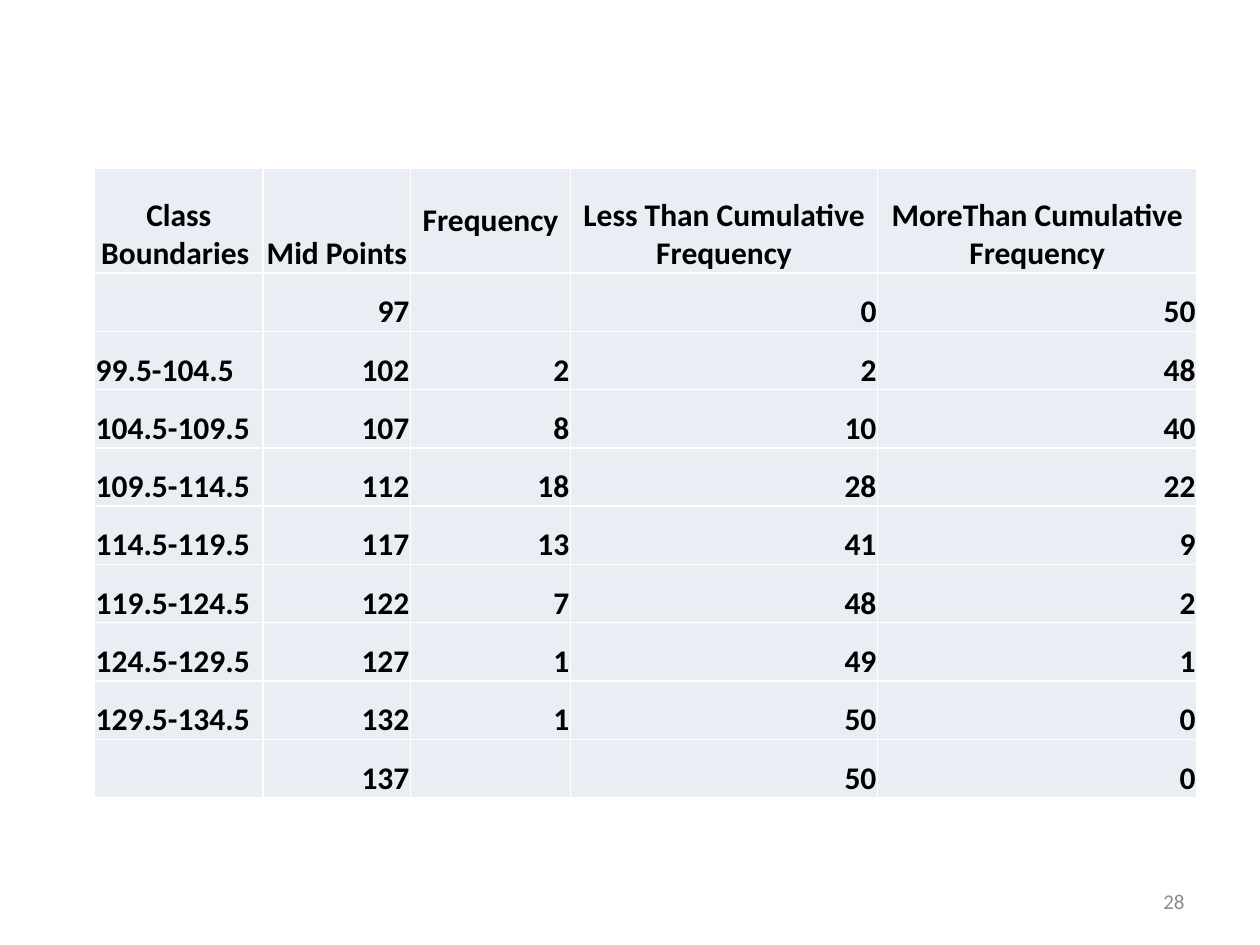
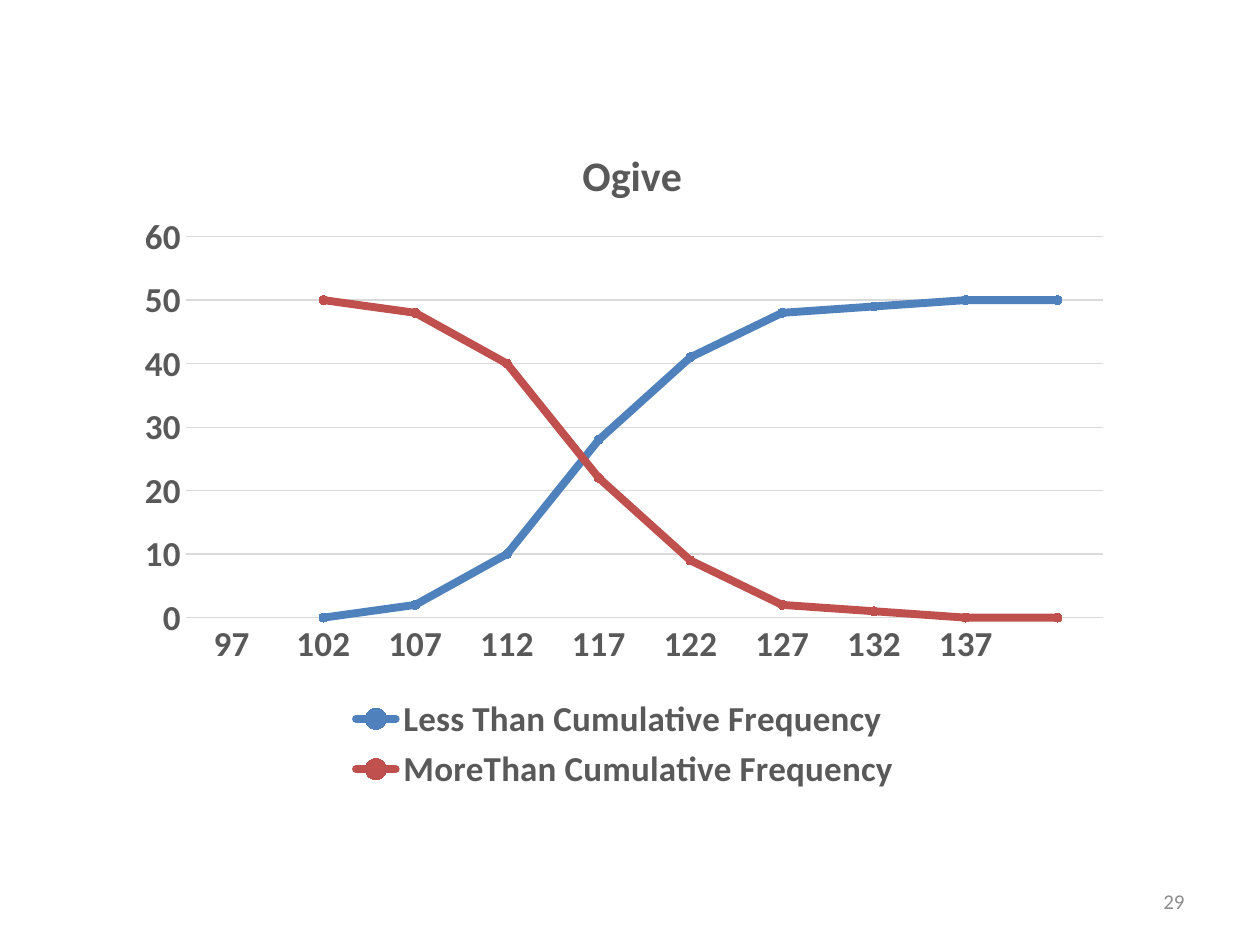
from lxml.etree import SubElement
from pptx import Presentation
from pptx.chart.data import CategoryChartData
from pptx.dml.color import RGBColor
from pptx.enum.chart import XL_CHART_TYPE, XL_LEGEND_POSITION, XL_MARKER_STYLE, XL_TICK_MARK
from pptx.enum.text import MSO_ANCHOR, PP_ALIGN
from pptx.oxml import parse_xml
from pptx.oxml.ns import nsdecls, qn
from pptx.util import Pt

BLACK = RGBColor(0, 0, 0)
WHITE = RGBColor(0xFF, 0xFF, 0xFF)
CELL_TINT = RGBColor(0xE9, 0xED, 0xF4)
CHART_GREY = RGBColor(0x59, 0x59, 0x59)
GRID_GREY = RGBColor(0xD9, 0xD9, 0xD9)
NUMBER_GREY = RGBColor(0x8C, 0x8C, 0x8C)
BLUE = RGBColor(0x4F, 0x81, 0xBD)
RED = RGBColor(0xC0, 0x50, 0x4D)
FONT = "Calibri"

NUMBER_BOX = (516, 500.5, 168, 28.75)
TABLE_BOX = (54, 96, 630, 360)
CHART_BOX = (72, 60, 570, 396)

LESS_THAN = "Less Than Cumulative Frequency"
MORE_THAN = "MoreThan Cumulative Frequency"
HEADINGS = ("Class Boundaries ", "Mid Points", "Frequency", LESS_THAN, MORE_THAN)
COLUMN_WIDTHS = (96.4, 84.3, 91.4, 175.5, 182.4)
HEADING_HEIGHT = 60
FREQUENCIES = (
    ("", 97, "", 0, 50),
    ("99.5-104.5", 102, 2, 2, 48),
    ("104.5-109.5", 107, 8, 10, 40),
    ("109.5-114.5", 112, 18, 28, 22),
    ("114.5-119.5", 117, 13, 41, 9),
    ("119.5-124.5", 122, 7, 48, 2),
    ("124.5-129.5", 127, 1, 49, 1),
    ("129.5-134.5", 132, 1, 50, 0),
    ("", 137, "", 50, 0),
)


def style_font(font, size, colour, bold=True):
    """Give a font the shared typeface with a size, colour and weight."""
    font.name, font.size, font.bold = FONT, Pt(size), bold
    font.color.rgb = colour


def add_slide_number(slide, box, number):
    """Place the slide number at the right of its box."""
    frame = slide.shapes.add_textbox(*map(Pt, box)).text_frame
    frame.word_wrap = True
    frame.vertical_anchor = MSO_ANCHOR.MIDDLE
    paragraph = frame.paragraphs[0]
    paragraph.alignment = PP_ALIGN.RIGHT
    run = paragraph.add_run()
    run.text = str(number)
    style_font(run.font, 12, NUMBER_GREY, bold=False)


def add_borders(cell):
    """Draw a thin white line on each side of a cell."""
    properties = cell._tc.get_or_add_tcPr()
    for side in ("lnL", "lnR", "lnT", "lnB"):
        border = SubElement(properties, qn(f"a:{side}"), w=str(Pt(1)))
        fill = SubElement(border, qn("a:solidFill"))
        SubElement(fill, qn("a:srgbClr"), val=str(WHITE))


def fill_cell(cell, value, alignment, anchor):
    """Style one table cell and write its value."""
    cell.margin_left = cell.margin_right = cell.margin_top = Pt(0.72)
    cell.margin_bottom = Pt(0)
    cell.vertical_anchor = anchor
    add_borders(cell)
    cell.fill.solid()
    cell.fill.fore_color.rgb = CELL_TINT
    if value != "":
        paragraph = cell.text_frame.paragraphs[0]
        paragraph.alignment = alignment
        run = paragraph.add_run()
        run.text = str(value)
        style_font(run.font, 18, BLACK)


def add_frequency_table(slide, box):
    """Build the cumulative frequency table in its box."""
    rows = (HEADINGS, *FREQUENCIES)
    table = slide.shapes.add_table(len(rows), len(HEADINGS), *map(Pt, box)).table
    table.horz_banding = False
    for column, width in zip(table.columns, COLUMN_WIDTHS):
        column.width = Pt(width)
    body_height = (box[3] - HEADING_HEIGHT) / len(FREQUENCIES)
    for r, values in enumerate(rows):
        table.rows[r].height = Pt(body_height if r else HEADING_HEIGHT)
        for c, value in enumerate(values):
            alignment = PP_ALIGN.CENTER if r == 0 else PP_ALIGN.RIGHT if c else PP_ALIGN.LEFT
            anchor = MSO_ANCHOR.MIDDLE if value == "Frequency" else MSO_ANCHOR.BOTTOM
            fill_cell(table.cell(r, c), value, alignment, anchor)


def manual_layout(target="", **fractions):
    """Return a chart layout given as fractions of the chart box."""
    inner = f'<c:layoutTarget val="{target}"/>' if target else ""
    modes = "".join(f'<c:{axis}Mode val="edge"/>' for axis in "xy")
    places = "".join(f'<c:{key} val="{value}"/>' for key, value in fractions.items())
    return parse_xml(
        f'<c:layout {nsdecls("c")}><c:manualLayout>{inner}{modes}{places}'
        "</c:manualLayout></c:layout>"
    )


def place_element(element, layout):
    """Swap an element's layout for the given one."""
    for old in element.findall(qn("c:layout")):
        element.remove(old)
    text = element.find(qn("c:tx"))
    element.insert(0 if text is None else 1, layout)


def style_axes(chart):
    """Style the two axes and the horizontal grid."""
    for axis in (chart.category_axis, chart.value_axis):
        axis.major_tick_mark = axis.minor_tick_mark = XL_TICK_MARK.NONE
        style_font(axis.tick_labels.font, 20, CHART_GREY)
    chart.value_axis.format.line.fill.background()
    chart.value_axis.has_major_gridlines = True
    for ruled in (chart.category_axis, chart.value_axis.major_gridlines):
        ruled.format.line.color.rgb = GRID_GREY
        ruled.format.line.width = Pt(0.75)


def style_series(series, colour):
    """Draw one ogive as a thick line with round markers."""
    series.smooth = False
    series.format.line.color.rgb = colour
    series.format.line.width = Pt(4.5)
    series._element.find(f'{qn("c:spPr")}/{qn("a:ln")}').set("cap", "rnd")
    marker = series.marker
    marker.style, marker.size = XL_MARKER_STYLE.CIRCLE, 5
    marker.format.fill.solid()
    marker.format.fill.fore_color.rgb = colour
    marker.format.line.color.rgb = colour


def add_ogive_chart(slide, box):
    """Build the ogive chart, its curves one step right of the mid points."""
    ogives = CategoryChartData()
    ogives.categories = [str(row[1]) for row in FREQUENCIES]
    for name, column in ((LESS_THAN, 3), (MORE_THAN, 4)):
        ogives.add_series(name, [None, *(row[column] for row in FREQUENCIES)])
    chart = slide.shapes.add_chart(XL_CHART_TYPE.LINE_MARKERS, *map(Pt, box), ogives).chart
    style_font(chart.font, 20, BLACK)

    chart.has_title = True
    title = chart.chart_title.text_frame.paragraphs[0].add_run()
    title.text = "Ogive"
    style_font(title.font, 24, CHART_GREY)
    place_element(chart.chart_title._element, manual_layout(x=0.45, y=0.05))

    chart.has_legend = True
    chart.legend.position = XL_LEGEND_POSITION.BOTTOM
    chart.legend.include_in_layout = False
    style_font(chart.legend.font, 20, CHART_GREY)

    style_axes(chart)
    chart.plots[0].vary_by_categories = False
    for series, colour in zip(chart.plots[0].series, (BLUE, RED)):
        style_series(series, colour)
    plot_area = chart._chartSpace.find(f'{qn("c:chart")}/{qn("c:plotArea")}')
    place_element(plot_area, manual_layout("inner", x=0.06, y=0.19, w=0.92, h=0.55))


def main():
    """Build the table slide and the chart slide."""
    deck = Presentation()
    deck.slide_width, deck.slide_height = Pt(720), Pt(540)
    regions = ((add_frequency_table, TABLE_BOX), (add_ogive_chart, CHART_BOX))
    for number, (add_region, box) in enumerate(regions, start=28):
        slide = deck.slides.add_slide(deck.slide_layouts[6])
        add_slide_number(slide, NUMBER_BOX, number)
        add_region(slide, box)
    deck.save("out.pptx")


if __name__ == "__main__":
    main()
